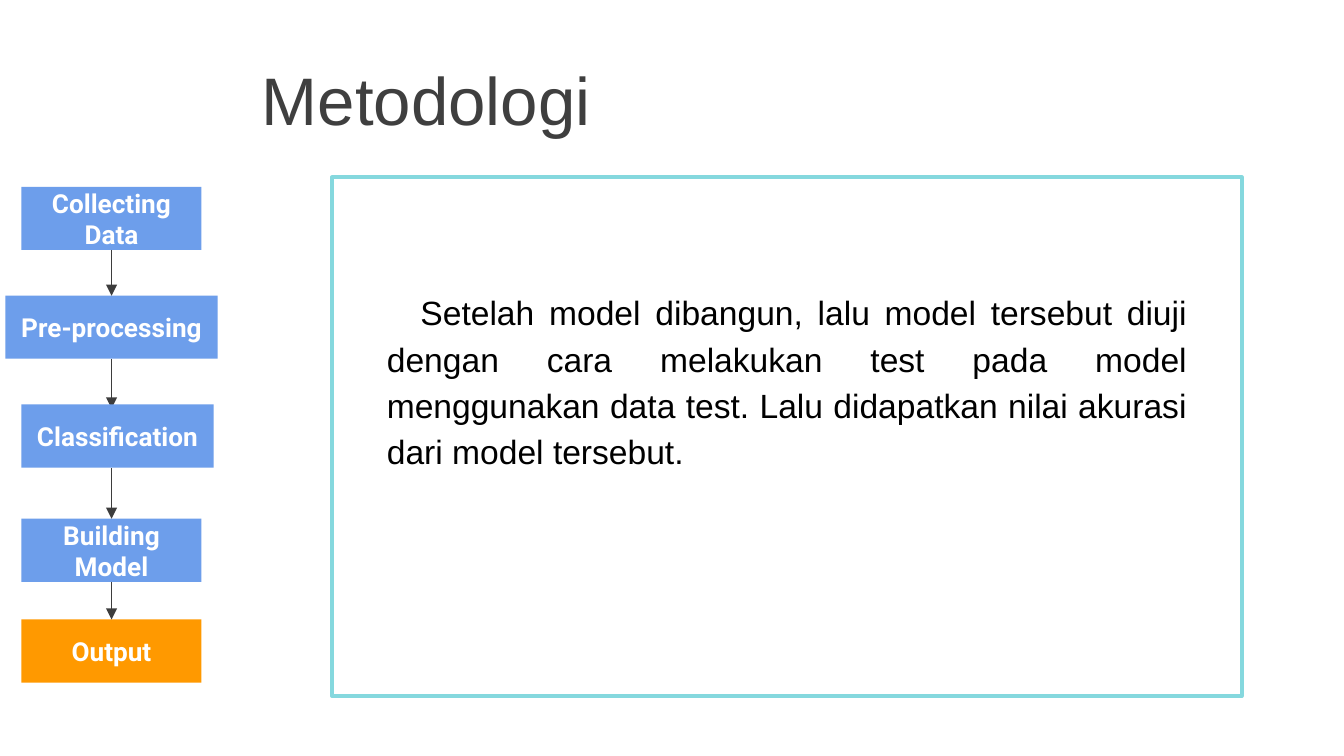
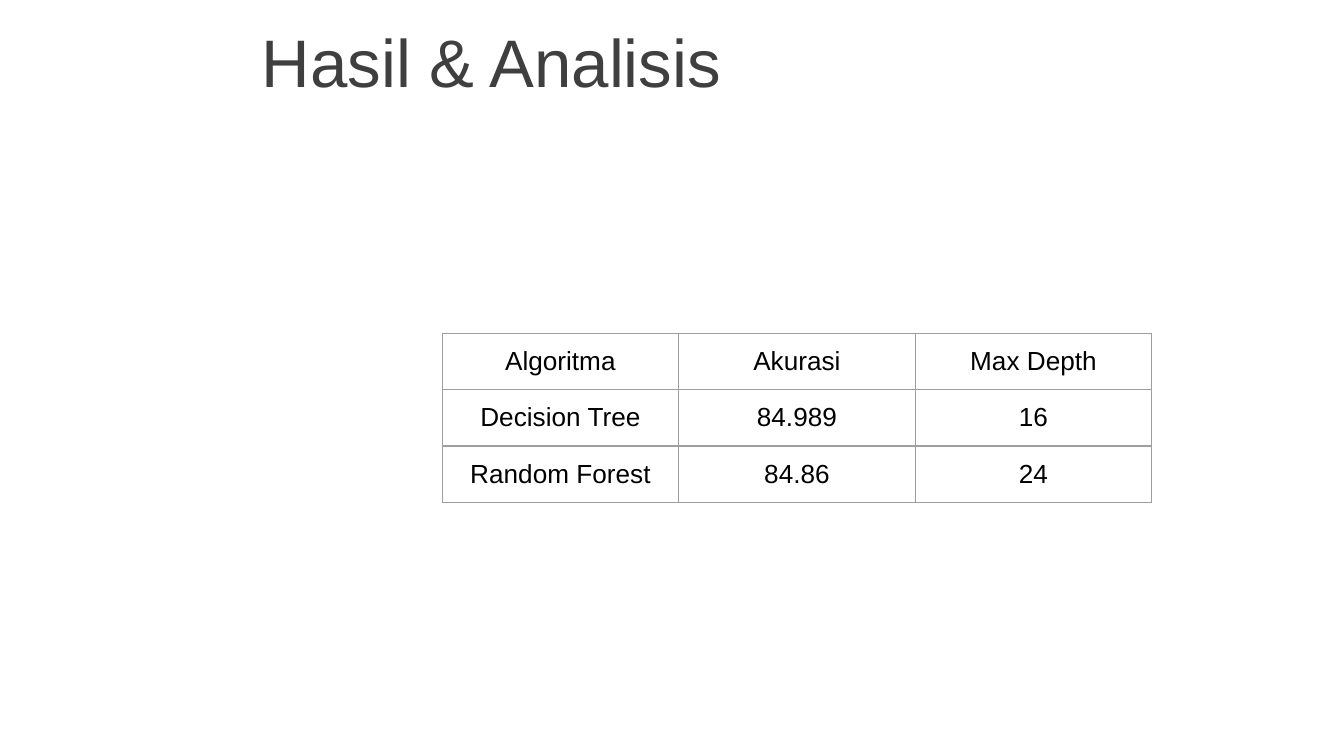
from lxml import etree
from pptx import Presentation
from pptx.dml.color import RGBColor
from pptx.enum.shapes import MSO_CONNECTOR, MSO_SHAPE
from pptx.enum.text import MSO_ANCHOR, PP_ALIGN
from pptx.oxml.ns import qn
from pptx.util import Inches, Pt

RECT = MSO_SHAPE.RECTANGLE
LINE = MSO_CONNECTOR.STRAIGHT
MIDDLE = MSO_ANCHOR.MIDDLE
LEFT, CENTER, FULL = PP_ALIGN.LEFT, PP_ALIGN.CENTER, PP_ALIGN.JUSTIFY
TOP, BOTTOM = 0, 2

BLACK, WHITE = "000000", "FFFFFF"
TITLE, FRAME, ARROW, GRID = "3F3F3F", "85D8DE", "3D3D3D", "9E9E9E"
STEP, RESULT = "6D9EEB", "FF9900"


def color(code):
    return RGBColor.from_string(code)


class Deck:
    def __init__(self):
        self.file = Presentation()
        self.file.slide_width = Inches(10)
        self.file.slide_height = Inches(10 * 9 / 16)
        self.slide = None

    def page(self, title, height):
        self.slide = self.file.slides.add_slide(self.file.slide_layouts[6])
        self.text(title, (1.85, 0.14, 8.15, height), 36, TITLE, LEFT)

    def style(self, para, size, ink, align, font="Arial", bold=False):
        para.alignment = align
        para.font.name = font
        para.font.size = Pt(size)
        para.font.bold = bold
        para.font.color.rgb = color(ink)

    def text(self, words, area, size, ink, align):
        box = self.slide.shapes.add_textbox(*map(Inches, area))
        frame = box.text_frame
        frame.word_wrap = True
        frame.vertical_anchor = MIDDLE
        frame.text = words
        para = frame.paragraphs[0]
        self.style(para, size, ink, align)
        return para

    def rect(self, area):
        shape = self.slide.shapes.add_shape(RECT, *map(Inches, area))
        shape.shadow.inherit = False
        return shape

    def frame(self, area):
        shape = self.rect(area)
        shape.fill.background()
        shape.line.color.rgb = color(FRAME)
        shape.line.width = Pt(2)

    def step(self, words, left, top, width, fill=STEP):
        shape = self.rect((left, top, width, 0.47))
        shape.fill.solid()
        shape.fill.fore_color.rgb = color(fill)
        shape.line.fill.background()
        frame = shape.text_frame
        frame.word_wrap = True
        frame.vertical_anchor = MIDDLE
        frame.margin_top = frame.margin_bottom = Inches(0.1)
        frame.text = words
        self.style(frame.paragraphs[0], 14, WHITE, CENTER, "Roboto", True)
        return shape

    def arrow(self, start, end, above=None, below=None):
        x = Inches(0.83)
        link = self.slide.shapes.add_connector(LINE, x, Inches(start), x, Inches(end))
        if above is not None:
            link.begin_connect(above, BOTTOM)
        if below is not None:
            link.end_connect(below, TOP)
        link.line.color.rgb = color(ARROW)
        link.line.width = Pt(0.75)
        etree.SubElement(link.line._get_or_add_ln(), qn("a:tailEnd"), type="triangle")
        etree.SubElement(link._element.spPr, qn("a:effectLst"))

    def border(self, cell):
        props = cell._tc.get_or_add_tcPr()
        for i, side in enumerate(("lnL", "lnR", "lnT", "lnB")):
            line = etree.Element(qn("a:" + side), w=str(Pt(0.75)))
            fill = etree.SubElement(line, qn("a:solidFill"))
            etree.SubElement(fill, qn("a:srgbClr"), val=GRID)
            props.insert(i, line)

    def table(self, rows, left, top, width, height):
        count = len(rows[0])
        grid = self.slide.shapes.add_table(
            len(rows), count, Inches(left), Inches(top),
            Inches(width * count), Inches(height * len(rows))).table
        grid.first_row = grid.horz_banding = False
        for r, row in enumerate(rows):
            for c, words in enumerate(row):
                cell = grid.cell(r, c)
                cell.text = words
                cell.fill.background()
                cell.vertical_anchor = MIDDLE
                cell.margin_left = cell.margin_right = Inches(0.1)
                cell.margin_top = cell.margin_bottom = Inches(0.09)
                self.style(cell.text_frame.paragraphs[0], 14, BLACK, CENTER)
                self.border(cell)


def method(deck):
    deck.page("Metodologi", 1.19)
    deck.frame((2.47, 1.32, 6.77, 3.86))
    para = deck.text(
        "Setelah model dibangun, lalu model tersebut diuji dengan cara "
        "melakukan test pada model menggunakan data test. Lalu didapatkan "
        "nilai akurasi dari model tersebut.",
        (2.78, 1.69, 6.15, 2.26), 18, BLACK, FULL)
    para.line_spacing = 1.15
    para._p.get_or_add_pPr().set("indent", str(Inches(0.25)))

    collect = deck.step("Collecting Data", 0.16, 1.39, 1.34)
    clean = deck.step("Pre-processing", 0.04, 2.2, 1.58)
    build = deck.step("Building Model", 0.16, 3.86, 1.34)
    output = deck.step("Output", 0.16, 4.61, 1.34, RESULT)
    deck.arrow(1.86, 2.2, collect, clean)
    deck.arrow(4.33, 4.61, build, output)
    deck.arrow(2.67, 3.04, above=clean)
    deck.arrow(3.48, 3.86, below=build)
    deck.step("Classification", 0.16, 3.01, 1.43)


def result(deck):
    deck.page("Hasil & Analisis", 0.63)
    deck.table([
        ("Algoritma", "Akurasi", "Max Depth"),
        ("Decision Tree", "84.989", "16"),
        ("Random Forest", "84.86", "24"),
    ], 3.29, 2.48, 1.76, 0.42)


def main():
    deck = Deck()
    method(deck)
    result(deck)
    deck.file.save("out.pptx")


if __name__ == "__main__":
    main()
